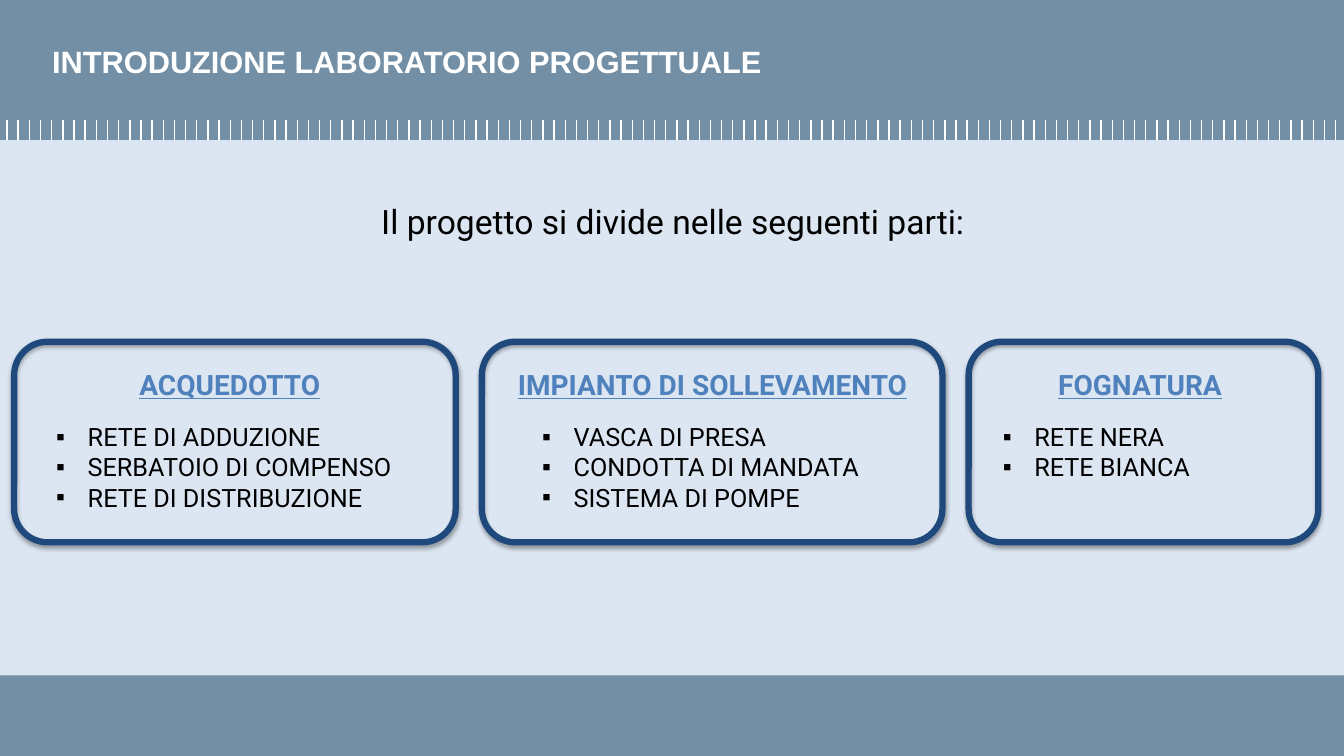
from lxml import etree
from pptx import Presentation
from pptx import util as u
from pptx.dml import color
from pptx.enum import shapes, text
from pptx.oxml import ns, parse_xml

Pt = u.Pt
WIDTH, HEIGHT = 960, 540
BAND, WHITE, BLACK, NAVY, BLUE = "728FA5", "FFFFFF", "000000", "1F497D", "4F81BD"
SHADOW = (
    f'<a:effectLst {ns.nsdecls("a")}><a:outerShdw blurRad="40000" dist="23000" '
    'dir="5400000" rotWithShape="0"><a:srgbClr val="000000"><a:alpha val="35000"/>'
    "</a:srgbClr></a:outerShdw></a:effectLst>"
)


def rgb(value):
    return color.RGBColor.from_string(value)


def add_text(left, top, width, height, lines, size, font, fill, bold=False, centred=False):
    box = slide.shapes.add_textbox(Pt(left), Pt(top), Pt(width), Pt(height))
    box.text_frame.word_wrap = True
    box.text_frame.text = "\n".join(lines)
    for paragraph in box.text_frame.paragraphs:
        if centred:
            paragraph.alignment = text.PP_ALIGN.CENTER
        run_font = paragraph.runs[0].font
        run_font.name, run_font.size, run_font.bold = font, Pt(size), bold
        run_font.color.rgb = rgb(fill)
    return box.text_frame


presentation = Presentation()
presentation.slide_width, presentation.slide_height = Pt(WIDTH), Pt(HEIGHT)
slide = presentation.slides.add_slide(presentation.slide_layouts[6])
slide.background.fill.solid()
slide.background.fill.fore_color.rgb = rgb("DCE6F2")

# Header and footer bands
for top, height in [(0, 100), (482.4, 57.6)]:
    band = slide.shapes.add_shape(
        shapes.MSO_SHAPE.RECTANGLE, 0, Pt(top), Pt(WIDTH), Pt(height))
    band.shadow.inherit = False
    band.fill.solid()
    band.fill.fore_color.rgb = rgb(BAND)
    band.line.fill.background()

# Ruler ticks along the header's lower edge
TICKS, FIRST, LAST = 120, 5, 954
for index in range(TICKS):
    x = Pt(FIRST + index * (LAST - FIRST) / (TICKS - 1))
    tick = slide.shapes.add_connector(
        shapes.MSO_CONNECTOR.STRAIGHT, x, Pt(85.7), x, Pt(100))
    tick.line.color.rgb = rgb(WHITE)
    tick.line.width = Pt(1)
    etree.SubElement(tick._element.spPr, ns.qn("a:effectLst"))

# Title and introduction
title = add_text(30.2, 10.8, 900.7, 66.2, ["INTRODUZIONE LABORATORIO PROGETTUALE"],
                 22, "Arial", WHITE, bold=True)
title.vertical_anchor = text.MSO_ANCHOR.MIDDLE
add_text(228.2, 139.7, 504.7, 48.2, ["Il progetto si divide nelle seguenti parti:"],
         24, "Roboto", BLACK, centred=True)

# Cards: (left, width), heading, (left, width) of heading, items, (left, width) of items
cards = [
    ((10.1, 315.4), "ACQUEDOTTO", (52.6, 223.2),
     ["RETE DI ADDUZIONE", "SERBATOIO DI COMPENSO", "RETE DI DISTRIBUZIONE"], (33.1, 270.7)),
    ((344.2, 329), "IMPIANTO DI SOLLEVAMENTO", (356.4, 305.3),
     ["VASCA DI PRESA", "CONDOTTA DI MANDATA", "SISTEMA DI POMPE"], (380.2, 258.5)),
    ((691.9, 249.8), "FOGNATURA", (725.8, 177.1),
     ["RETE NERA", "RETE BIANCA"], (709.2, 216)),
]
for (left, width), heading, (head_left, head_width), items, (list_left, list_width) in cards:
    frame = slide.shapes.add_shape(
        shapes.MSO_SHAPE.ROUNDED_RECTANGLE, Pt(left), Pt(244.1), Pt(width), Pt(143.3))
    frame.fill.background()
    frame.line.color.rgb = rgb(NAVY)
    frame.line.width = Pt(4.5)
    frame._element.spPr.append(parse_xml(SHADOW))

    bullets = add_text(list_left, 297.4, list_width, 7.2 + 21.7 * len(items), items,
                       18, "Roboto", BLACK)
    for paragraph in bullets.paragraphs:
        properties = paragraph._p.get_or_add_pPr()
        properties.set("marL", str(Pt(22.5)))
        properties.set("indent", str(-Pt(22.5)))
        etree.SubElement(properties, ns.qn("a:buFont"), typeface="Arial")
        etree.SubElement(properties, ns.qn("a:buChar"), char="▪")

    label = add_text(head_left, 259.2, head_width, 31.7, [heading],
                     20, "Roboto", BLUE, bold=True, centred=True)
    label.paragraphs[0].runs[0].font.underline = True

presentation.save("out.pptx")
